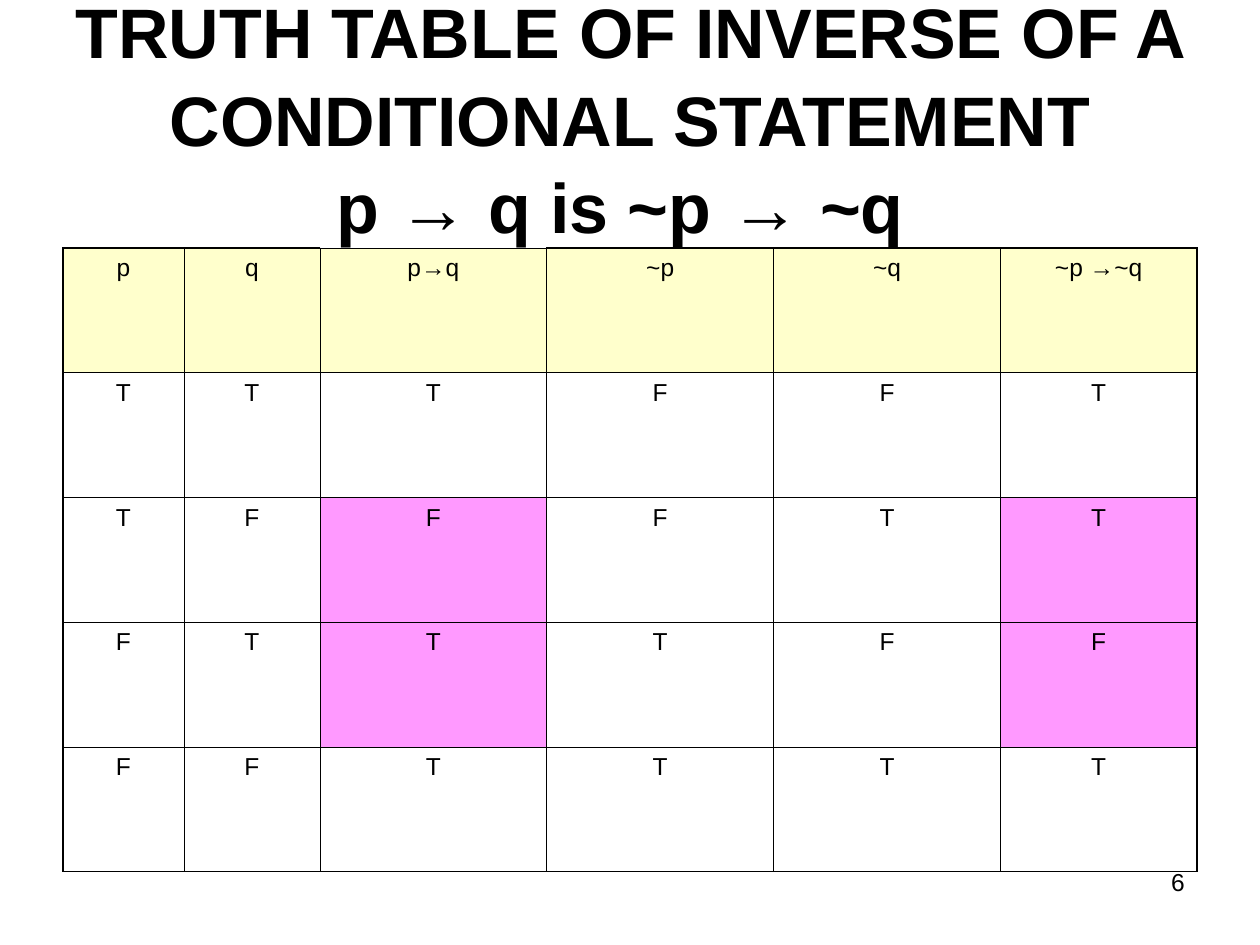
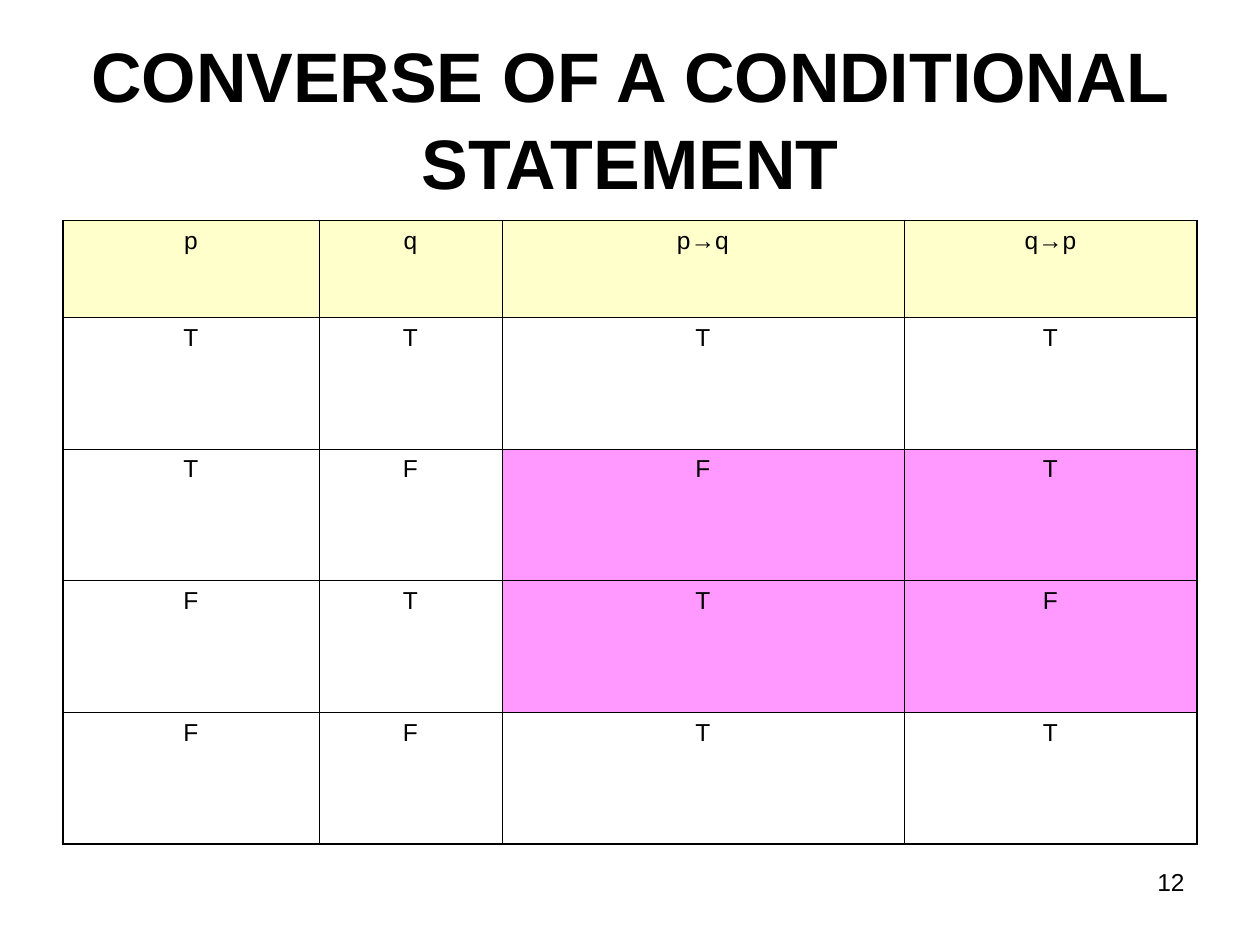
import pptx
import pptx.dml.color
import pptx.enum.text
import pptx.oxml
import pptx.oxml.ns
import pptx.util

Pt = pptx.util.Pt
ALIGN = pptx.enum.text.PP_ALIGN
ANCHOR = pptx.enum.text.MSO_ANCHOR
COLORS = {"text": "000000", "border": "000000", "header": "FFFFCC", "highlight": "FF99FF"}
TITLE_FORMAT = {"name": "Arial", "size": Pt(40), "bold": True}
BODY_FORMAT = {"name": "Arial", "size": Pt(14), "bold": False}
THIN, THICK = Pt(0.45), Pt(1.08)
LEFT, WIDTH = 36, 648

INVERSE_ROWS = ["p|q|p→q|~p|~q|~p →~q", "T|T|T|F|F|T", "T|F|F|F|T|T",
                "F|T|T|T|F|F", "F|F|T|T|T|T"]
CONVERSE_ROWS = ["p|q|p→q|q→p", "T|T|T|T", "T|F|F|T", "F|T|T|F", "F|F|T|T"]


class TruthTableDeck:
    def __init__(self):
        self.presentation = pptx.Presentation()
        self.presentation.slide_width = Pt(720)
        self.presentation.slide_height = Pt(540)
        self.slide = None

    def add_slide(self, title_lines, number):
        self.slide = self.presentation.slides.add_slide(self.presentation.slide_layouts[5])
        self.add_title(title_lines)
        self.add_number(number)

    def format_paragraph(self, paragraph, font_format, alignment):
        paragraph.alignment = alignment
        for run in paragraph.runs:
            for name, value in font_format.items():
                setattr(run.font, name, value)
            run.font.color.rgb = pptx.dml.color.RGBColor.from_string(COLORS["text"])

    def add_title(self, lines):
        title = self.slide.shapes.title
        box = {"left": Pt(LEFT), "top": Pt(21.6), "width": Pt(WIDTH), "height": Pt(90)}
        for name, value in box.items():
            setattr(title, name, value)
        frame = title.text_frame
        frame.auto_size = pptx.enum.text.MSO_AUTO_SIZE.NONE
        frame.vertical_anchor = ANCHOR.MIDDLE
        paragraph = frame.paragraphs[0]
        for index, line in enumerate(lines):
            if index:
                paragraph.add_line_break()
            paragraph.add_run().text = line
        paragraph.line_spacing = 1.045
        self.format_paragraph(paragraph, TITLE_FORMAT, ALIGN.CENTER)

    def add_number(self, number):
        box = self.slide.shapes.add_textbox(Pt(516), Pt(492), Pt(168), Pt(37.5))
        box.text_frame.word_wrap = True
        box.text_frame.text = str(number)
        self.format_paragraph(box.text_frame.paragraphs[0], BODY_FORMAT, ALIGN.RIGHT)

    def add_border(self, cell, position, side, width):
        line = pptx.oxml.parse_xml(
            f'<a:ln{side} {pptx.oxml.ns.nsdecls("a")} w="{int(width)}"><a:solidFill>'
            f'<a:srgbClr val="{COLORS["border"]}"/></a:solidFill></a:ln{side}>')
        cell._tc.get_or_add_tcPr().insert(position, line)

    def add_truth_table(self, top, widths, heights, rows, highlighted_columns, thin_top=()):
        values = [row.split("|") for row in rows]
        last_row, last_column = len(heights) - 1, len(widths) - 1
        table = self.slide.shapes.add_table(
            len(heights), len(widths), Pt(LEFT), Pt(top), Pt(WIDTH), Pt(sum(heights))).table
        table.first_row = table.horz_banding = False
        for column, width in zip(table.columns, widths):
            column.width = Pt(width)
        for row, height in zip(table.rows, heights):
            row.height = Pt(height)
        for row, line in enumerate(values):
            for column, value in enumerate(line):
                cell = table.cell(row, column)
                cell.text = value
                self.format_paragraph(cell.text_frame.paragraphs[0], BODY_FORMAT, ALIGN.CENTER)
                highlighted = row in (2, 3) and column in highlighted_columns
                color = "header" if row == 0 else "highlight" if highlighted else None
                if color:
                    cell.fill.solid()
                    cell.fill.fore_color.rgb = pptx.dml.color.RGBColor.from_string(COLORS[color])
                else:
                    cell.fill.background()
                outer = {"L": column == 0, "R": column == last_column,
                         "T": row == 0 and column not in thin_top, "B": row == last_row}
                for position, (side, thick) in enumerate(outer.items()):
                    self.add_border(cell, position, side, THICK if thick else THIN)


def main():
    deck = TruthTableDeck()
    deck.add_slide(["TRUTH TABLE OF INVERSE OF A CONDITIONAL STATEMENT",
                    "p → q is ~p → ~q "], 6)
    deck.add_truth_table(141.75, [69.12, 77.76] + [129.6] * 3 + [112.32], [71.28] * 5,
                         INVERSE_ROWS, (2, 5), thin_top=(2,))
    deck.add_slide(["CONVERSE OF A CONDITIONAL STATEMENT"], 12)
    deck.add_truth_table(126, [146.3, 104.5, 229.8, 167.4], [55.44] + [75.24] * 4,
                         CONVERSE_ROWS, (2, 3))
    deck.presentation.save("out.pptx")


if __name__ == "__main__":
    main()
